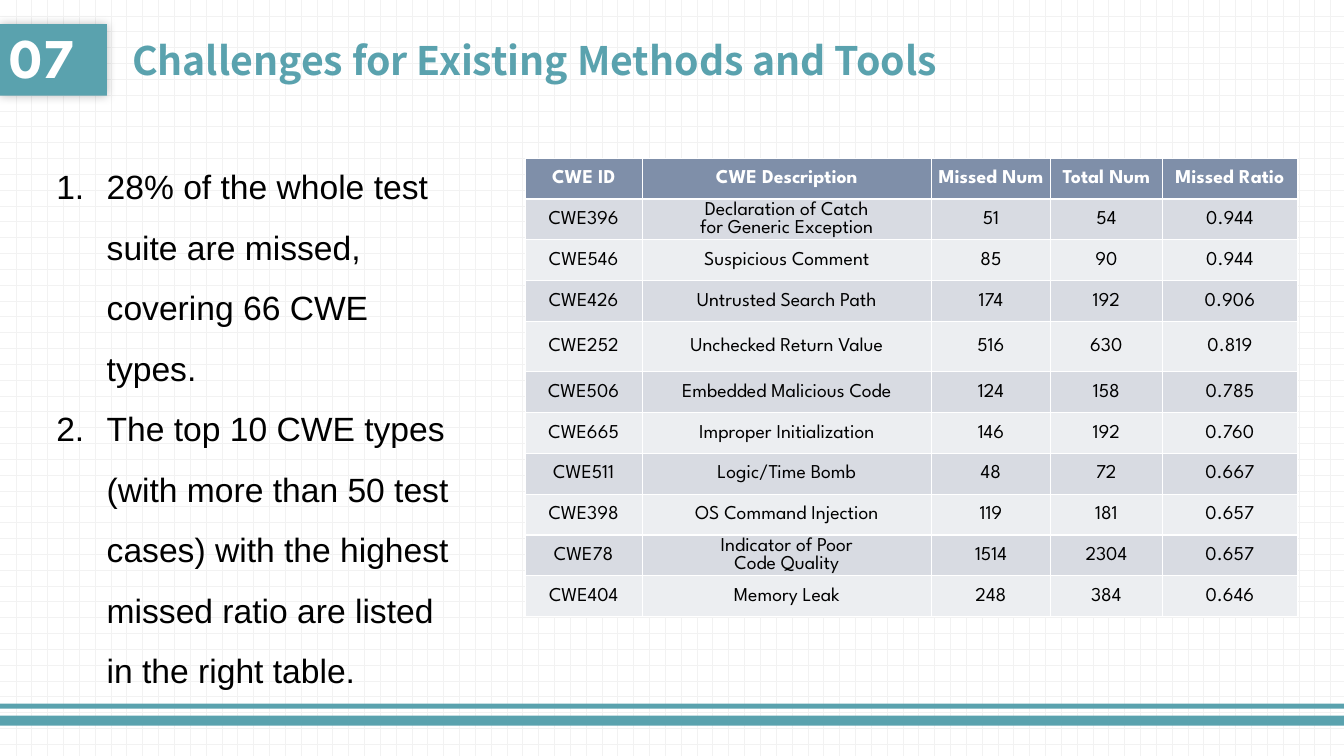
from lxml import etree
from pptx import Presentation, util as u
from pptx.dml.color import RGBColor
from pptx.enum import dml, shapes, text
from pptx.oxml import parse_xml
from pptx.oxml.ns import nsdecls, qn

WIDTH, HEIGHT = u.Inches(13.33), u.Inches(7.5)
TEAL = RGBColor(0x5A, 0xA2, 0xAE)
WHITE = RGBColor(0xFF, 0xFF, 0xFF)
BLACK = RGBColor(0, 0, 0)
GRID = RGBColor(0xF2, 0xF2, 0xF2)
HEADER = RGBColor(0x7F, 0x8F, 0xA9)
BANDS = (RGBColor(0xEC, 0xEE, 0xF1), RGBColor(0xD8, 0xDB, 0xE2))

BADGE_FONT = dict(name="League Spartan", size=u.Pt(40), bold=True)
TITLE_FONT = dict(name="Noto Sans CJK SC", size=u.Pt(28), bold=True)
LIST_FONT = dict(name="Arial", size=u.Pt(24))
CELL_FONT = dict(name="League Spartan", size=u.Pt(14))
CELL_FORMAT = dict(
    vertical_anchor=text.MSO_ANCHOR.MIDDLE,
    margin_left=u.Inches(0.01), margin_right=u.Inches(0.01),
    margin_top=u.Inches(0.01), margin_bottom=0,
)

FINDINGS = [
    "28% of the whole test suite are missed, covering 66 CWE types.",
    "The top 10 CWE types (with more than 50 test cases) with the highest "
    "missed ratio are listed in the right table.",
]
COLUMN_SHARES = (15.14, 37.47, 15.4, 14.5, 17.49)
ROW_SHARE, TALL_ROW_SHARE, TALL_ROW = 5.4, 6.67, 4
CWE_ROWS = [
    ("CWE ID", "CWE Description", "Missed Num", "Total Num", "Missed Ratio"),
    ("CWE396", "Declaration of Catch\nfor Generic Exception", "51", "54", "0.944"),
    ("CWE546", "Suspicious Comment", "85", "90", "0.944"),
    ("CWE426", "Untrusted Search Path", "174", "192", "0.906"),
    ("CWE252", "Unchecked Return Value", "516", "630", "0.819"),
    ("CWE506", "Embedded Malicious Code", "124", "158", "0.785"),
    ("CWE665", "Improper Initialization", "146", "192", "0.760"),
    ("CWE511", "Logic/Time Bomb", "48", "72", "0.667"),
    ("CWE398", "OS Command Injection", "119", "181", "0.657"),
    ("CWE78", "Indicator of Poor\nCode Quality", "1514", "2304", "0.657"),
    ("CWE404", "Memory Leak", "248", "384", "0.646"),
]


def area(left, top, width, height):
    """Turn percentages of the slide into a left, top, width, height tuple."""
    return tuple(
        int(share * side / 100)
        for share, side in zip((left, top, width, height), (WIDTH, HEIGHT) * 2)
    )


def apply_format(target, values):
    """Set each named attribute on the target."""
    for name, value in values.items():
        setattr(target, name, value)


def write(frame, content, font, color, **paragraph_format):
    """Fill a text frame with one formatted paragraph per line."""
    frame.text = content
    for paragraph in frame.paragraphs:
        apply_format(paragraph, paragraph_format)
        for run in paragraph.runs:
            apply_format(run.font, font)
            run.font.color.rgb = color


def add_block(slide, place):
    """Add a plain teal rectangle."""
    shape = slide.shapes.add_shape(shapes.MSO_SHAPE.RECTANGLE, *place)
    shape.shadow.inherit = False
    shape.fill.solid()
    shape.fill.fore_color.rgb = TEAL
    shape.line.fill.background()
    return shape


def add_badge(slide, number, place):
    """Add the section number on a teal block with a soft glow of shadow."""
    shape = add_block(slide, place)
    effects = shape._element.spPr.find(qn("a:effectLst"))
    effects.append(parse_xml(
        f'<a:outerShdw {nsdecls("a")} blurRad="{u.Pt(7)}" dist="0" dir="0">'
        '<a:srgbClr val="000000"><a:alpha val="25000"/></a:srgbClr></a:outerShdw>'
    ))
    shape.text_frame.vertical_anchor = text.MSO_ANCHOR.MIDDLE
    write(shape.text_frame, number, BADGE_FONT, WHITE,
          alignment=text.PP_ALIGN.LEFT, line_spacing=0.9)


def set_title(slide, content, place):
    """Move and format the title placeholder."""
    title = slide.shapes.title
    apply_format(title, dict(zip(("left", "top", "width", "height"), place)))
    apply_format(title.text_frame, dict(
        vertical_anchor=text.MSO_ANCHOR.MIDDLE, auto_size=text.MSO_AUTO_SIZE.NONE))
    write(title.text_frame, content, TITLE_FONT, TEAL,
          alignment=text.PP_ALIGN.LEFT)


def add_numbered_list(slide, items, place):
    """Add a text box with automatically numbered paragraphs."""
    frame = slide.shapes.add_textbox(*place).text_frame
    frame.word_wrap = True
    write(frame, "\n".join(items), LIST_FONT, BLACK, line_spacing=1.5)
    for paragraph in frame.paragraphs:
        properties = paragraph._p.get_or_add_pPr()
        properties.set("marL", str(u.Inches(0.5)))
        properties.set("indent", str(-u.Inches(0.5)))
        etree.SubElement(properties, qn("a:buFont"), typeface="+mj-lt")
        etree.SubElement(properties, qn("a:buAutoNum"), type="arabicPeriod")


def add_cwe_table(slide, rows, place):
    """Add the banded table of missed CWE types."""
    table = slide.shapes.add_table(len(rows), len(rows[0]), *place).table
    for column, share in zip(table.columns, COLUMN_SHARES):
        column.width = int(place[2] * share / 100)
    for index, values in enumerate(rows):
        row_share = TALL_ROW_SHARE if index == TALL_ROW else ROW_SHARE
        table.rows[index].height = int(HEIGHT * row_share / 100)
        is_header = index == 0
        for cell, value in zip(table.rows[index].cells, values):
            apply_format(cell, CELL_FORMAT)
            cell.fill.solid()
            cell.fill.fore_color.rgb = HEADER if is_header else BANDS[index % 2]
            write(cell.text_frame, value, dict(CELL_FONT, bold=is_header),
                  WHITE if is_header else BLACK, alignment=text.PP_ALIGN.CENTER)


def main():
    """Build the slide and save it."""
    presentation = Presentation()
    apply_format(presentation, dict(slide_width=WIDTH, slide_height=HEIGHT))
    slide = presentation.slides.add_slide(presentation.slide_layouts[5])
    background = slide.background.fill
    background.patterned()
    background.pattern = dml.MSO_PATTERN.DOTTED_GRID
    background.fore_color.rgb = GRID
    background.back_color.rgb = WHITE

    add_block(slide, area(0, 94.67, 100, 1.33))
    add_block(slide, area(0, 93.07, 100, 0.67))
    add_badge(slide, "07", area(0, 3.2, 7.95, 9.47))
    set_title(slide, "Challenges for Existing Methods and Tools",
              area(9.08, 3.2, 65.64, 9.47))
    add_cwe_table(slide, CWE_ROWS, area(39.08, 20.93, 57.46, 60.67))
    add_numbered_list(slide, FINDINGS, area(3.45, 18.67, 31.96, 64.93))
    presentation.save("out.pptx")


if __name__ == "__main__":
    main()
